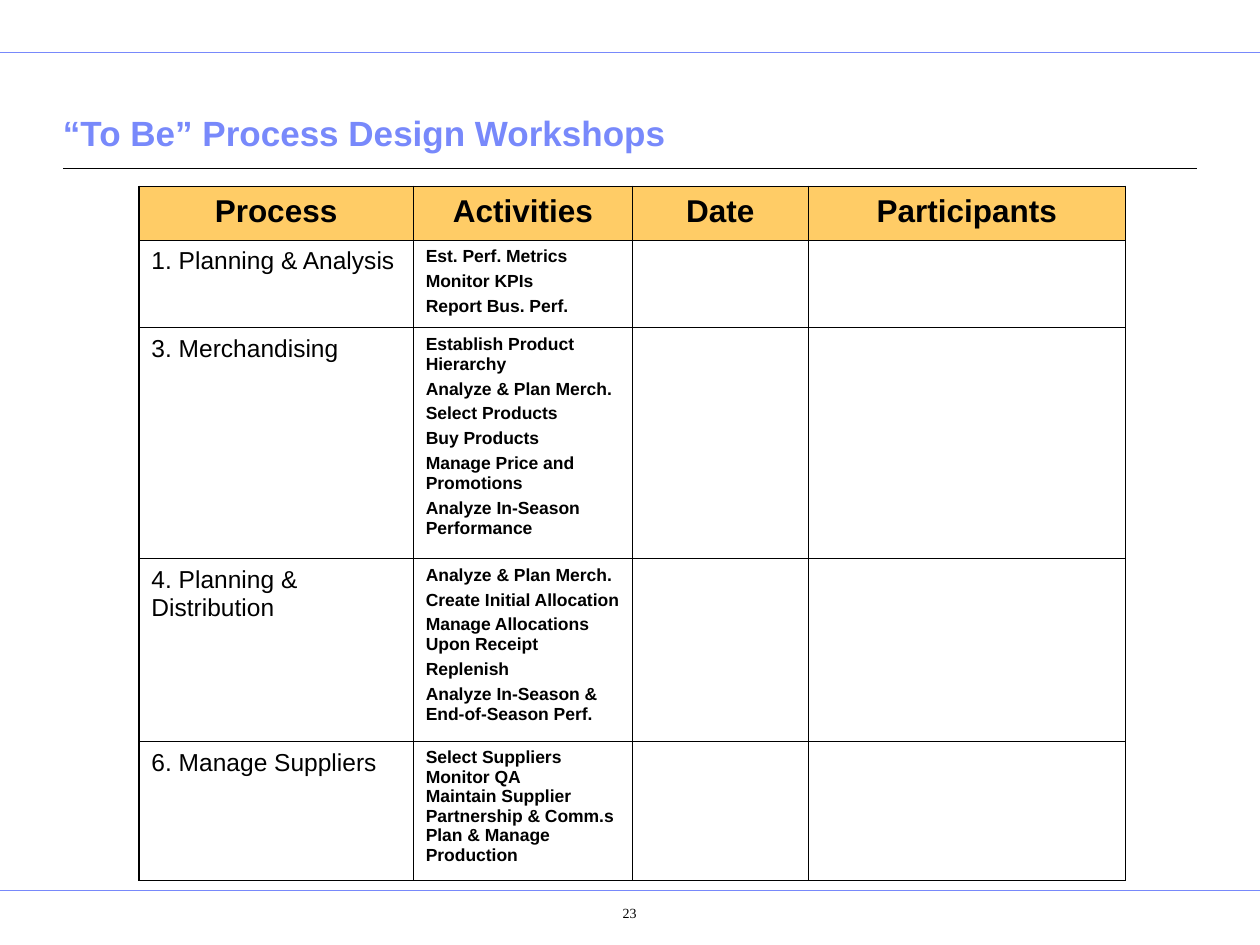
from dataclasses import dataclass
from typing import Optional

from lxml.etree import SubElement
from pptx import Presentation
from pptx.dml.color import RGBColor as RGB
from pptx.enum.shapes import MSO_CONNECTOR as Conn
from pptx.enum.text import MSO_ANCHOR as Anchor, PP_ALIGN as Align
from pptx.oxml.ns import qn
from pptx.util import Cm, Pt


@dataclass(frozen=True)
class Theme:
    accent: RGB = RGB(0x78, 0x89, 0xFB)
    header: RGB = RGB(0xFF, 0xCC, 0x66)
    ink: RGB = RGB(0, 0, 0)
    sans: str = "Arial"
    serif: str = "Times New Roman"
    title: float = 20
    heading: float = 18
    process: float = 14
    activity: float = 10
    number: float = 8
    inner: float = 0.45
    outer: float = 1.08


T = Theme()


@dataclass(frozen=True)
class Style:
    size: float
    bold: bool = False
    color: RGB = T.ink
    font: str = T.sans
    align: Align = Align.LEFT
    spacing: float = 1.04
    before: float = 0


@dataclass(frozen=True)
class Rule:
    left: float
    right: float
    y: float
    color: RGB
    width: float


@dataclass(frozen=True)
class Label:
    text: str
    box: tuple[float, float, float, float]
    insets: tuple[float, float, float, float]
    anchor: Anchor
    style: Style


@dataclass(frozen=True)
class Workshop:
    process: str
    activities: list[str]
    height: float
    spacing: float = 1.04
    before: float = 2.5


RULES = [
    Rule(0, 25.4, 1.06, T.accent, 0.5),
    Rule(0, 25.4, 17.96, T.accent, 0.5),
    Rule(1.27, 24.13, 3.4, T.ink, 0.75),
]
LABELS = [
    Label("“To Be” Process Design Workshops", (1.27, 1.63, 22.86, 1.6),
          (0, 0.13, 0, 0.13), Anchor.BOTTOM,
          Style(T.title, True, T.accent, spacing=1)),
    Label("23", (10.85, 18.06, 2.92, 0.89), (1.02, 0.18, 0.25, 0.13),
          Anchor.TOP, Style(T.number, font=T.serif, align=Align.CENTER, spacing=1)),
]
HEADINGS = ["Process", "Activities", "Date", "Participants"]
COLUMNS = [5.53, 4.42, 3.54, 6.4]
HEADER_HEIGHT = 1.08
WORKSHOPS = [
    Workshop("1. Planning & Analysis",
             ["Est. Perf. Metrics", "Monitor KPIs", "Report Bus. Perf."], 1.76),
    Workshop("3. Merchandising",
             ["Establish Product Hierarchy", "Analyze & Plan Merch.",
              "Select Products", "Buy Products", "Manage Price and Promotions",
              "Analyze In-Season Performance"], 4.66),
    Workshop("4. Planning & Distribution",
             ["Analyze & Plan Merch.", "Create Initial Allocation",
              "Manage Allocations Upon Receipt", "Replenish",
              "Analyze In-Season & End-of-Season Perf."], 3.69),
    Workshop("6. Manage Suppliers",
             ["Select Suppliers", "Monitor QA",
              "Maintain Supplier Partnership & Comm.s",
              "Plan & Manage Production"], 2.8, spacing=1, before=0),
]


def write(tf, lines: list[str], style: Style) -> None:
    tf.text = "\n".join(lines)
    for i, p in enumerate(tf.paragraphs):
        p.alignment = style.align
        p.line_spacing = style.spacing
        p.space_before = Pt(style.before if i else 0)
        for r in p.runs:
            r.font.name = style.font
            r.font.size = Pt(style.size)
            r.font.bold = style.bold
            r.font.color.rgb = style.color


def draw_rule(s, rule: Rule) -> None:
    y = Cm(rule.y)
    line = s.shapes.add_connector(Conn.STRAIGHT, Cm(rule.left), y, Cm(rule.right), y)
    line.line.color.rgb = rule.color
    line.line.width = Pt(rule.width)
    SubElement(line._element.spPr, qn("a:effectLst"))


def draw_label(s, label: Label) -> None:
    tf = s.shapes.add_textbox(*map(Cm, label.box)).text_frame
    tf.word_wrap = True
    tf.vertical_anchor = label.anchor
    tf.margin_left, tf.margin_top, tf.margin_right, tf.margin_bottom = map(Cm, label.insets)
    write(tf, [label.text], label.style)


def format_cell(cell, edges: dict[str, bool], fill: Optional[RGB]) -> None:
    tcPr = cell._tc.get_or_add_tcPr()
    for side, outer in edges.items():
        ln = SubElement(tcPr, qn(f"a:ln{side}"), w=str(Pt(T.outer if outer else T.inner)))
        SubElement(SubElement(ln, qn("a:solidFill")), qn("a:srgbClr"), val=str(T.ink))
    if fill is None:
        cell.fill.background()
    else:
        cell.fill.solid()
        cell.fill.fore_color.rgb = fill


def draw_table(s, left: float, top: float) -> None:
    heights = [HEADER_HEIGHT] + [w.height for w in WORKSHOPS]
    n_rows, n_cols = len(heights), len(COLUMNS)
    table = s.shapes.add_table(n_rows, n_cols, Cm(left), Cm(top),
                               Cm(sum(COLUMNS)), Cm(sum(heights))).table
    table.first_row = table.horz_banding = False
    for column, width in zip(table.columns, COLUMNS):
        column.width = Cm(width)
    for row, height in zip(table.rows, heights):
        row.height = Cm(height)
    for i in range(n_rows):
        for j in range(n_cols):
            edges = {"L": j == 0, "R": j == n_cols - 1, "T": i == 0, "B": i == n_rows - 1}
            format_cell(table.cell(i, j), edges, None if i else T.header)
    for j, heading in enumerate(HEADINGS):
        write(table.cell(0, j).text_frame, [heading],
              Style(T.heading, True, align=Align.CENTER))
    for i, w in enumerate(WORKSHOPS, 1):
        write(table.cell(i, 0).text_frame, [w.process], Style(T.process))
        write(table.cell(i, 1).text_frame, w.activities,
              Style(T.activity, True, spacing=w.spacing, before=w.before))


def main() -> None:
    prs = Presentation()
    prs.slide_width, prs.slide_height = Cm(25.4), Cm(19.05)
    s = prs.slides.add_slide(prs.slide_layouts[6])
    for rule in RULES:
        draw_rule(s, rule)
    for label in LABELS:
        draw_label(s, label)
    draw_table(s, 2.8, 3.76)
    prs.save("out.pptx")


if __name__ == "__main__":
    main()
